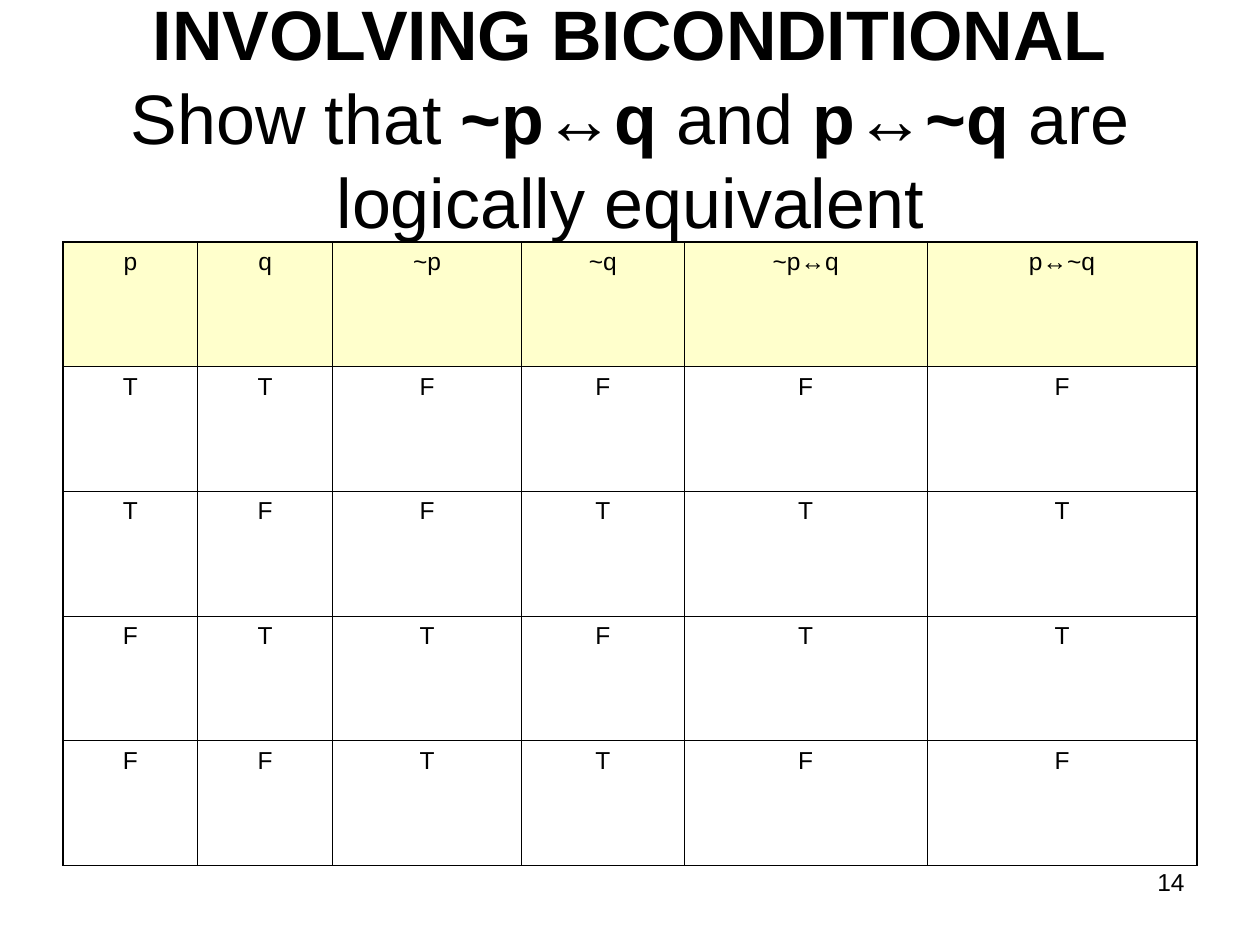
from pptx import Presentation
from pptx.dml.color import RGBColor
from pptx.enum.text import MSO_ANCHOR, PP_ALIGN
from pptx.oxml.ns import qn
from pptx.util import Inches, Pt
from lxml import etree

CENTER, RIGHT = PP_ALIGN.CENTER, PP_ALIGN.RIGHT
MIDDLE = MSO_ANCHOR.MIDDLE

BLACK = RGBColor(0x00, 0x00, 0x00)
CREAM = RGBColor(0xFF, 0xFF, 0xCC)

FONT = "Arial"
THIN, THICK = Pt(0.45), Pt(1.08)

COLUMN_WIDTHS = [1.07, 1.07, 1.5, 1.29, 1.93, 2.14]
TRUTH_ROWS = [
    ["p", "q", "~p", "~q", "~p↔q", "p↔~q"],
    ["T", "T", "F", "F", "F", "F"],
    ["T", "F", "F", "T", "T", "T"],
    ["F", "T", "T", "F", "T", "T"],
    ["F", "F", "T", "T", "F", "F"],
]


def style_paragraph(p, size, align):
    p.alignment = align
    p.font.name = FONT
    p.font.size = Pt(size)
    p.font.color.rgb = BLACK


def add_box(s, left, top, width, height):
    tf = s.shapes.add_textbox(left, top, width, height).text_frame
    tf.word_wrap = True
    return tf


def add_page_number(s, left, top, width, height):
    p = add_box(s, left, top, width, height).paragraphs[0]
    p.text = "14"
    style_paragraph(p, 14, RIGHT)


def add_title(s, left, top, width, height):
    tf = add_box(s, left, top, width, height)
    tf.vertical_anchor = MIDDLE
    p = tf.paragraphs[0]
    style_paragraph(p, 40, CENTER)

    def add_run(text, bold):
        r = p.add_run()
        r.text = text
        r.font.bold = bold

    add_run("INVOLVING BICONDITIONAL", True)
    p.add_line_break()
    for text, bold in [("Show that ", False), ("~p↔q", True), (" and ", False),
                       ("p↔~q", True), (" are logically equivalent", False)]:
        add_run(text, bold)


def set_border(cell, tag, width):
    ln = etree.SubElement(cell._tc.get_or_add_tcPr(), qn(tag), w=str(width))
    fill = etree.SubElement(ln, qn("a:solidFill"))
    etree.SubElement(fill, qn("a:srgbClr"), val=str(BLACK))


def add_truth_table(s, left, top, width, height):
    n_rows, n_cols = len(TRUTH_ROWS), len(COLUMN_WIDTHS)
    table = s.shapes.add_table(n_rows, n_cols, left, top, width, height).table
    table.first_row = table.horz_banding = False
    for column, column_width in zip(table.columns, COLUMN_WIDTHS):
        column.width = Inches(column_width)

    for i, values in enumerate(TRUTH_ROWS):
        for j, value in enumerate(values):
            cell = table.cell(i, j)
            cell.text = value
            style_paragraph(cell.text_frame.paragraphs[0], 14, CENTER)

            # Thick outer frame, thin inner grid
            for tag, outer in [("a:lnL", j == 0), ("a:lnR", j == n_cols - 1),
                               ("a:lnT", i == 0), ("a:lnB", i == n_rows - 1)]:
                set_border(cell, tag, THICK if outer else THIN)

            # Tinted header, unfilled body
            if i == 0:
                cell.fill.solid()
                cell.fill.fore_color.rgb = CREAM
            else:
                cell.fill.background()


def main():
    prs = Presentation()
    prs.slide_width, prs.slide_height = Inches(10), Inches(7.5)
    s = prs.slides.add_slide(prs.slide_layouts[6])
    add_page_number(s, Inches(7.17), Inches(6.83), Inches(2.33), Inches(0.52))
    add_title(s, Inches(0.5), Inches(0.3), Inches(9), Inches(1.25))
    add_truth_table(s, Inches(0.5), Inches(1.92), Inches(9), Inches(4.95))
    prs.save("out.pptx")


if __name__ == "__main__":
    main()
